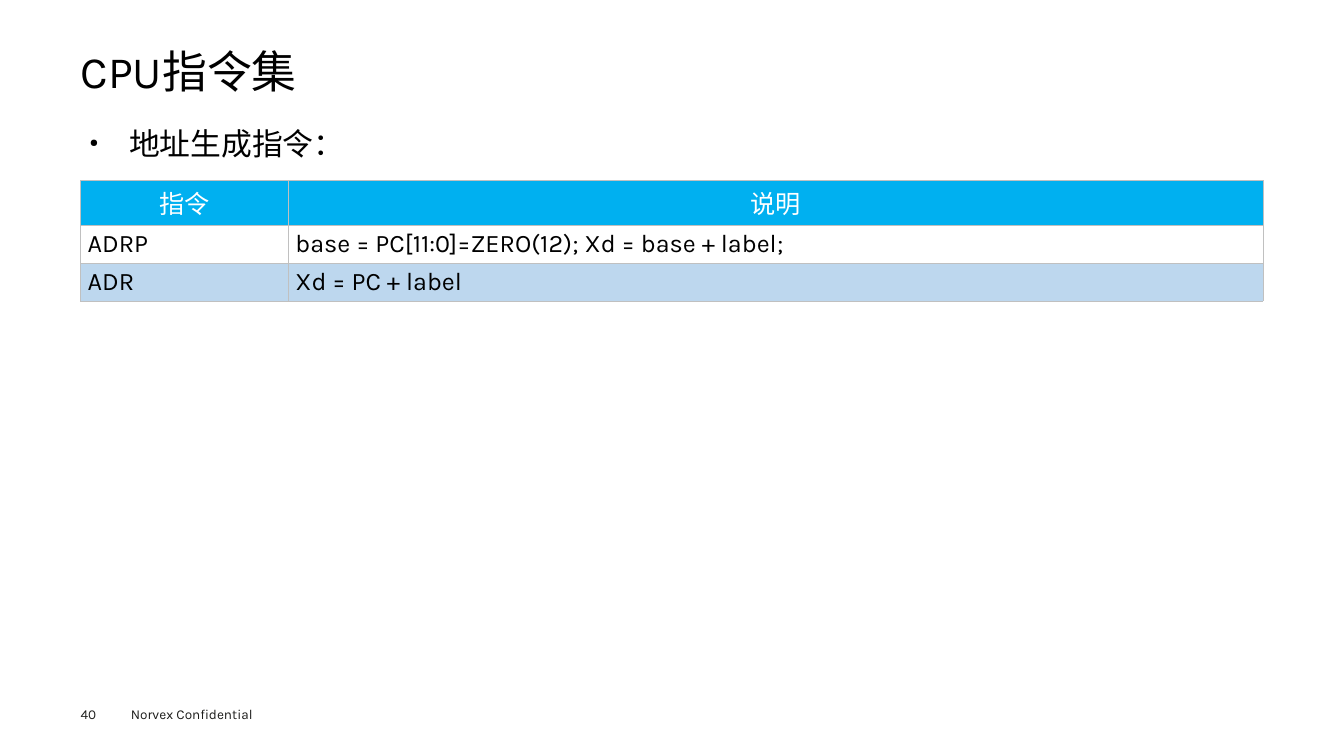
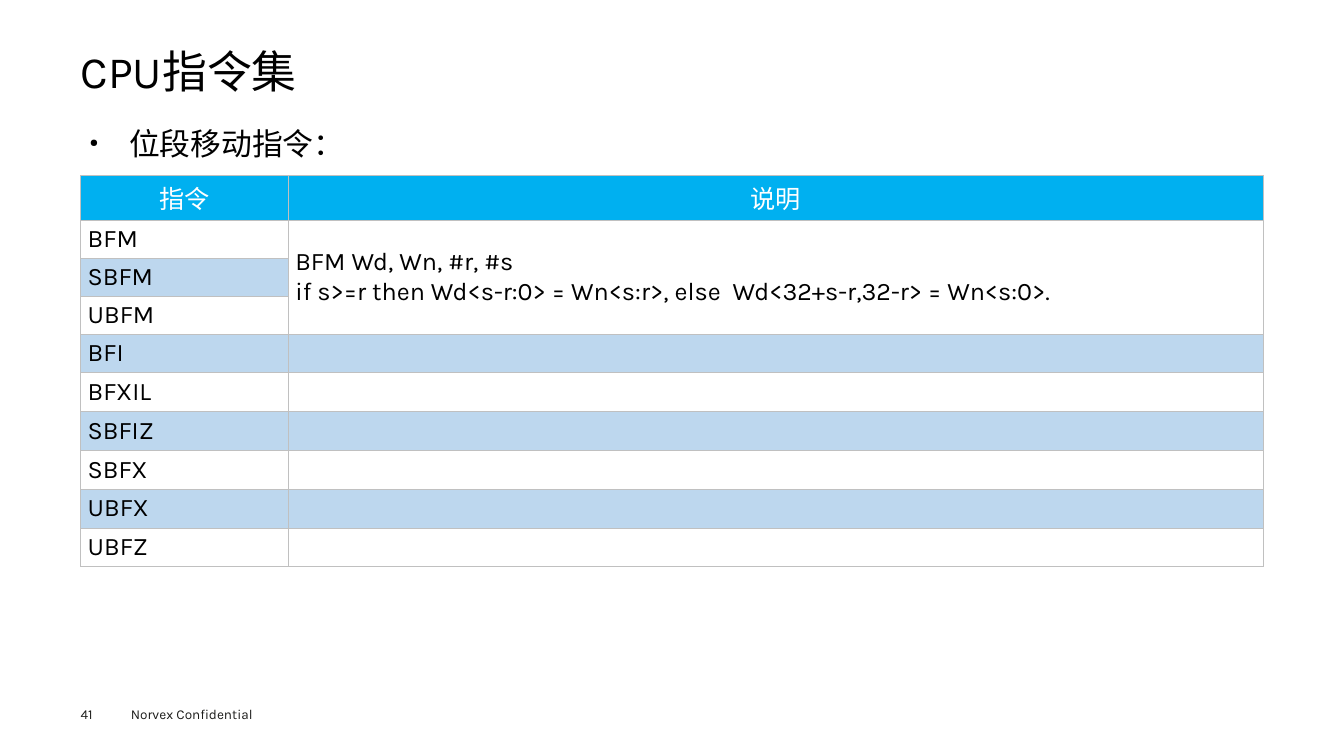
"""Builds two slides that list CPU instructions in tables."""
from dataclasses import dataclass

from lxml import etree
from pptx import Presentation
from pptx import util as u
from pptx.dml.color import RGBColor
from pptx.enum import text as t
from pptx.oxml import ns

FONT = "Karla"
HEX = {"ink": "000000", "foot": "1D1D1B", "head": "00B0F0",
       "band": "BDD7EE", "white": "FFFFFF", "line": "C0C0C0"}
LEFT, WIDE = u.Inches(0.8), u.Inches(11.73)
COLS = u.Inches(2.06), u.Inches(9.67)
HEAD, ROW = u.Inches(0.44), u.Inches(3.39) // 9


@dataclass(frozen=True)
class Row:
    code: str
    notes: tuple[str, ...] = ()
    span: int = 1


@dataclass(frozen=True)
class Page:
    num: int
    topic: str
    top: float
    rows: tuple[Row, ...]


PAGES = (
    Page(40, "地址生成指令：", 1.79, (
        Row("ADRP", ("base = PC[11:0]=ZERO(12); Xd = base + label;",)),
        Row("ADR", ("Xd = PC + label",)),
    )),
    Page(41, "位段移动指令：", 1.74, (
        Row("BFM", ("BFM Wd, Wn, #r, #s",
                    "if s>=r then Wd<s-r:0> = Wn<s:r>, else  Wd<32+s-r,32-r> = Wn<s:0>."), 3),
        *(Row(code) for code in ("SBFM", "UBFM", "BFI", "BFXIL", "SBFIZ",
                                 "SBFX", "UBFX", "UBFZ")),
    )),
)


def add_run(para, words: str, size: float, color: str) -> None:
    run = para.add_run()
    run.text = words
    run.font.name = FONT
    run.font.size = u.Pt(size)
    run.font.color.rgb = RGBColor.from_string(HEX[color])


def set_frame(frame, side: float = 0, edge: float = 0) -> None:
    frame.word_wrap = True
    frame.auto_size = t.MSO_AUTO_SIZE.NONE
    frame.vertical_anchor = t.MSO_ANCHOR.TOP
    frame.margin_left = frame.margin_right = u.Inches(side)
    frame.margin_top = frame.margin_bottom = u.Inches(edge)


def add_box(slide, left: float, top: float, width: float, height: float,
            side: float = 0, edge: float = 0):
    box = slide.shapes.add_textbox(*map(u.Inches, (left, top, width, height)))
    set_frame(box.text_frame, side, edge)
    return box.text_frame.paragraphs[0]


def add_title(slide) -> None:
    title = slide.shapes.title
    title.left, title.top = LEFT, u.Inches(0.49)
    title.width, title.height = WIDE, u.Inches(0.53)
    set_frame(title.text_frame)
    para = title.text_frame.paragraphs[0]
    para.alignment = t.PP_ALIGN.LEFT
    para.line_spacing = 0.9
    add_run(para, "CPU指令集", 32, "ink")


def add_topic(slide, words: str) -> None:
    para = add_box(slide, 0.8, 1.15, 11.73, 5.34, 0.09, 0.04)
    props = para._p.get_or_add_pPr()
    indent = u.Inches(0.39)
    props.set("marL", str(indent))
    props.set("indent", str(-indent))
    etree.SubElement(props, ns.qn("a:buSzPct")).set("val", "36000")
    etree.SubElement(props, ns.qn("a:buChar")).set("char", "●")
    para.alignment = t.PP_ALIGN.JUSTIFY
    para.line_spacing = u.Pt(30)
    add_run(para, words, 22, "ink")


def add_footer(slide, num: int) -> None:
    add_run(add_box(slide, 0.8, 7, 0.55, 0.16), str(num), 9.7, "foot")
    add_run(add_box(slide, 1.2, 6.95, 1.6, 0.27, 0.1, 0.05),
            "Norvex Confidential", 9.7, "foot")


def add_edges(cell) -> None:
    props = cell._tc.get_or_add_tcPr()
    for side in "LRTB":
        line = etree.SubElement(props, ns.qn(f"a:ln{side}"), w=str(u.Pt(0.38)))
        fill = etree.SubElement(line, ns.qn("a:solidFill"))
        etree.SubElement(fill, ns.qn("a:srgbClr")).set("val", HEX["line"])


def fill_cell(cell, lines: tuple[str, ...], color: str, fill: str | None,
              align=t.PP_ALIGN.LEFT) -> None:
    add_edges(cell)
    cell.vertical_anchor = t.MSO_ANCHOR.MIDDLE
    cell.margin_left = cell.margin_right = u.Inches(0.07)
    cell.margin_top = cell.margin_bottom = u.Inches(0.04)
    if fill:
        cell.fill.solid()
        cell.fill.fore_color.rgb = RGBColor.from_string(HEX[fill])
    else:
        cell.fill.background()
    frame = cell.text_frame
    for pos, line in enumerate(lines):
        para = frame.add_paragraph() if pos else frame.paragraphs[0]
        para.alignment = align
        add_run(para, line, 18, color)


def add_grid(slide, page: Page) -> None:
    count = len(page.rows)
    table = slide.shapes.add_table(count + 1, 2, LEFT, u.Inches(page.top),
                                   WIDE, HEAD + ROW * count).table
    table.first_row = table.horz_banding = False
    for col, width in zip(table.columns, COLS):
        col.width = width
    for pos, row in enumerate(table.rows):
        row.height = ROW if pos else HEAD
    for col, label in enumerate(("指令", "说明")):
        fill_cell(table.cell(0, col), (label,), "white", "head", t.PP_ALIGN.CENTER)
    for pos, row in enumerate(page.rows, 1):
        fill = None if pos % 2 else "band"
        for col, lines in enumerate(((row.code,), row.notes)):
            fill_cell(table.cell(pos, col), lines, "ink", fill)
        if row.span > 1:
            table.cell(pos, 1).merge(table.cell(pos + row.span - 1, 1))


def main() -> None:
    deck = Presentation()
    deck.slide_width, deck.slide_height = u.Inches(13.33), u.Inches(7.5)
    for page in PAGES:
        slide = deck.slides.add_slide(deck.slide_layouts[5])
        add_footer(slide, page.num)
        add_title(slide)
        add_topic(slide, page.topic)
        add_grid(slide, page)
    deck.save("out.pptx")


if __name__ == "__main__":
    main()
